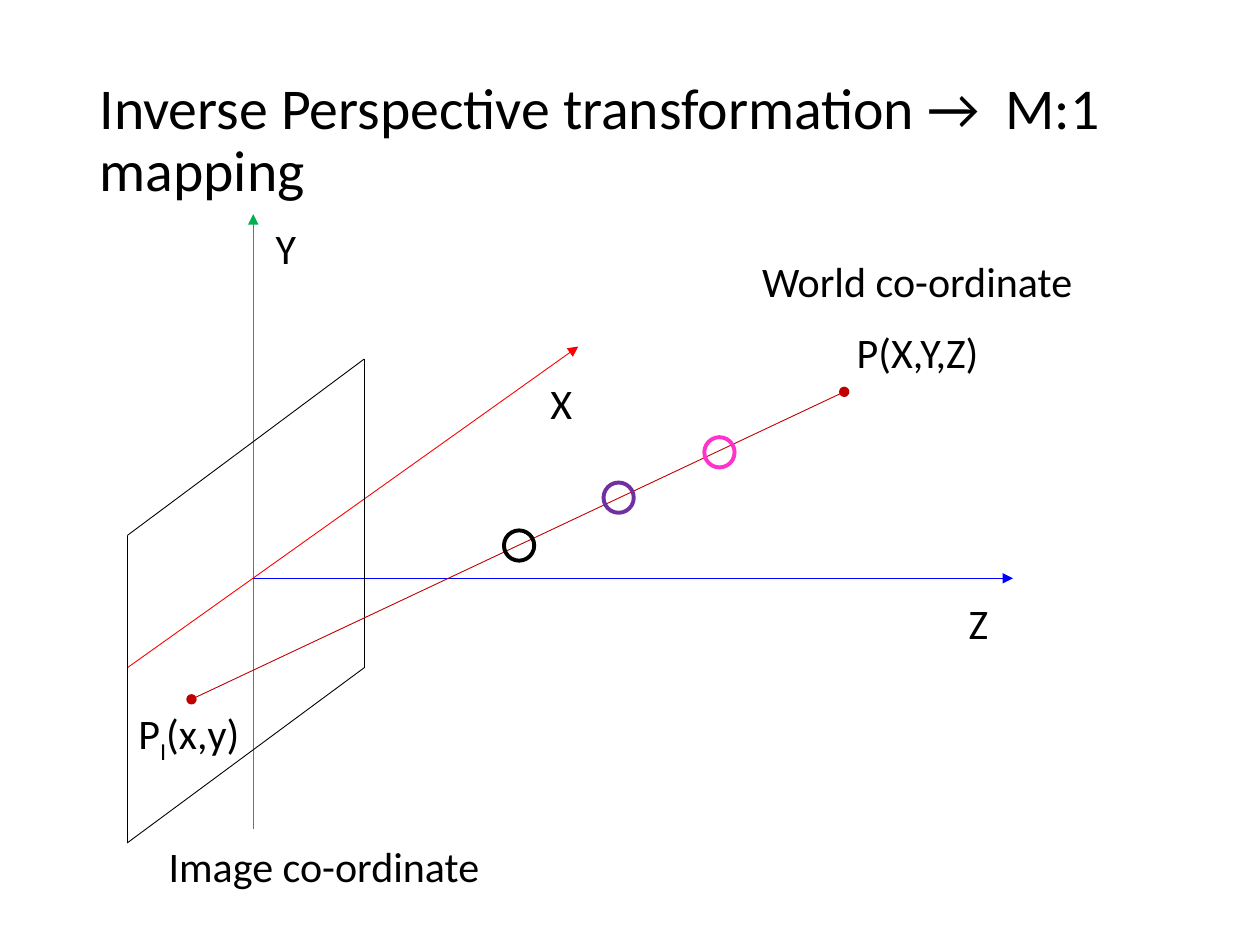
from typing import NamedTuple

from lxml.etree import SubElement
from pptx import Presentation
from pptx.dml.color import RGBColor
from pptx.enum.shapes import MSO_CONNECTOR, MSO_SHAPE
from pptx.enum.text import MSO_ANCHOR, MSO_AUTO_SIZE, PP_ALIGN
from pptx.oxml.ns import qn
from pptx.util import Inches, Pt

BLACK = RGBColor(0x00, 0x00, 0x00)
GREEN = RGBColor(0x00, 0xB0, 0x50)
BLUE = RGBColor(0x00, 0x00, 0xFF)
RED = RGBColor(0xFF, 0x00, 0x00)
DARK_RED = RGBColor(0xC0, 0x00, 0x00)
PURPLE = RGBColor(0x70, 0x30, 0xA0)
PINK = RGBColor(0xFF, 0x33, 0xCC)

FONT = "Calibri"
LABEL_HEIGHT = 0.5
CANDIDATE_SIZE = 0.24


class Segment(NamedTuple):
    start: tuple[float, float]
    end: tuple[float, float]
    color: RGBColor
    head: str = ""
    tail: str = ""


class Label(NamedTuple):
    left: float
    top: float
    width: float
    text: str
    subscript: str = ""
    rest: str = ""


class Candidate(NamedTuple):
    left: float
    top: float
    color: RGBColor


# Corners of the image plane, in order around it
PLANE = [(1.01, 4.25), (2.89, 2.85), (2.89, 5.3), (1.01, 6.69)]

AXES = [
    Segment((2.01, 6.58), (2.01, 1.7), GREEN, tail="triangle"),
    Segment((2.01, 4.59), (8.04, 4.59), BLUE, tail="triangle"),
    Segment((1.01, 5.3), (4.59, 2.75), RED, tail="triangle"),
]
PLANE_EDGES = [Segment(a, b, BLACK) for a, b in zip(PLANE, PLANE[1:] + PLANE[:1])]
RAY = Segment((1.52, 5.55), (6.7, 3.11), DARK_RED, head="oval", tail="oval")

LABELS = [
    Label(6.7, 2.54, 1.18, "P(X,Y,Z)"),
    Label(1, 5.57, 1.02, "P", "I", "(x,y)"),
    Label(7.59, 4.69, 0.36, "Z"),
    Label(2.09, 1.72, 0.37, "Y"),
    Label(4.27, 2.95, 0.38, "X"),
    Label(5.95, 1.98, 2.69, "World co-ordinate"),
    Label(1.24, 6.62, 2.69, "Image co-ordinate"),
]

# World points that share one image point
CANDIDATES = [
    Candidate(4, 4.21, BLACK),
    Candidate(4.79, 3.83, PURPLE),
    Candidate(5.59, 3.47, PINK),
]


def draw_segment(slide, segment: Segment) -> None:
    ends = [Inches(v) for v in segment.start + segment.end]
    connector = slide.shapes.add_connector(MSO_CONNECTOR.STRAIGHT, *ends)
    connector.line.color.rgb = segment.color
    connector.line.width = Pt(0.5)
    line_xml = connector.line._get_or_add_ln()
    for tag, kind in (("a:headEnd", segment.head), ("a:tailEnd", segment.tail)):
        if kind:
            SubElement(line_xml, qn(tag), type=kind)
    SubElement(connector._element.spPr, qn("a:effectLst"))


def draw_label(slide, label: Label) -> None:
    box = slide.shapes.add_textbox(
        Inches(label.left), Inches(label.top), Inches(label.width), Inches(LABEL_HEIGHT)
    )
    frame = box.text_frame
    frame.word_wrap = False
    frame.auto_size = MSO_AUTO_SIZE.SHAPE_TO_FIT_TEXT
    paragraph = frame.paragraphs[0]
    paragraph.font.name = FONT
    paragraph.font.size = Pt(24)
    paragraph.font.color.rgb = BLACK
    paragraph.add_run().text = label.text
    if label.subscript:
        subscript = paragraph.add_run()
        subscript.text = label.subscript
        subscript._r.get_or_add_rPr().set("baseline", "-25000")
        paragraph.add_run().text = label.rest


def draw_candidate(slide, candidate: Candidate) -> None:
    size = Inches(CANDIDATE_SIZE)
    ring = slide.shapes.add_shape(
        MSO_SHAPE.OVAL, Inches(candidate.left), Inches(candidate.top), size, size
    )
    ring.shadow.inherit = False
    ring.fill.background()
    ring.line.color.rgb = candidate.color
    ring.line.width = Pt(2.25)


def set_title(slide, text: str) -> None:
    title = slide.shapes.title
    title.left, title.top = Inches(0.69), Inches(0.4)
    title.width, title.height = Inches(8.62), Inches(1.45)
    frame = title.text_frame
    frame.text = text
    frame.word_wrap = True
    frame.auto_size = MSO_AUTO_SIZE.NONE
    frame.vertical_anchor = MSO_ANCHOR.MIDDLE
    paragraph = frame.paragraphs[0]
    paragraph.alignment = PP_ALIGN.LEFT
    paragraph.line_spacing = 0.9
    paragraph.font.name = FONT
    paragraph.font.size = Pt(33)
    paragraph.font.color.rgb = BLACK


def main() -> None:
    deck = Presentation()
    deck.slide_width, deck.slide_height = Inches(10), Inches(7.5)
    slide = deck.slides.add_slide(deck.slide_layouts[5])
    set_title(slide, "Inverse Perspective transformation →  M:1 mapping")

    # Axes, image plane and projection ray
    for segment in [*AXES, *PLANE_EDGES, RAY]:
        draw_segment(slide, segment)

    # Names of points, axes and co-ordinate systems
    for label in LABELS:
        draw_label(slide, label)

    # Points along the ray
    for candidate in CANDIDATES:
        draw_candidate(slide, candidate)

    deck.save("out.pptx")


if __name__ == "__main__":
    main()
